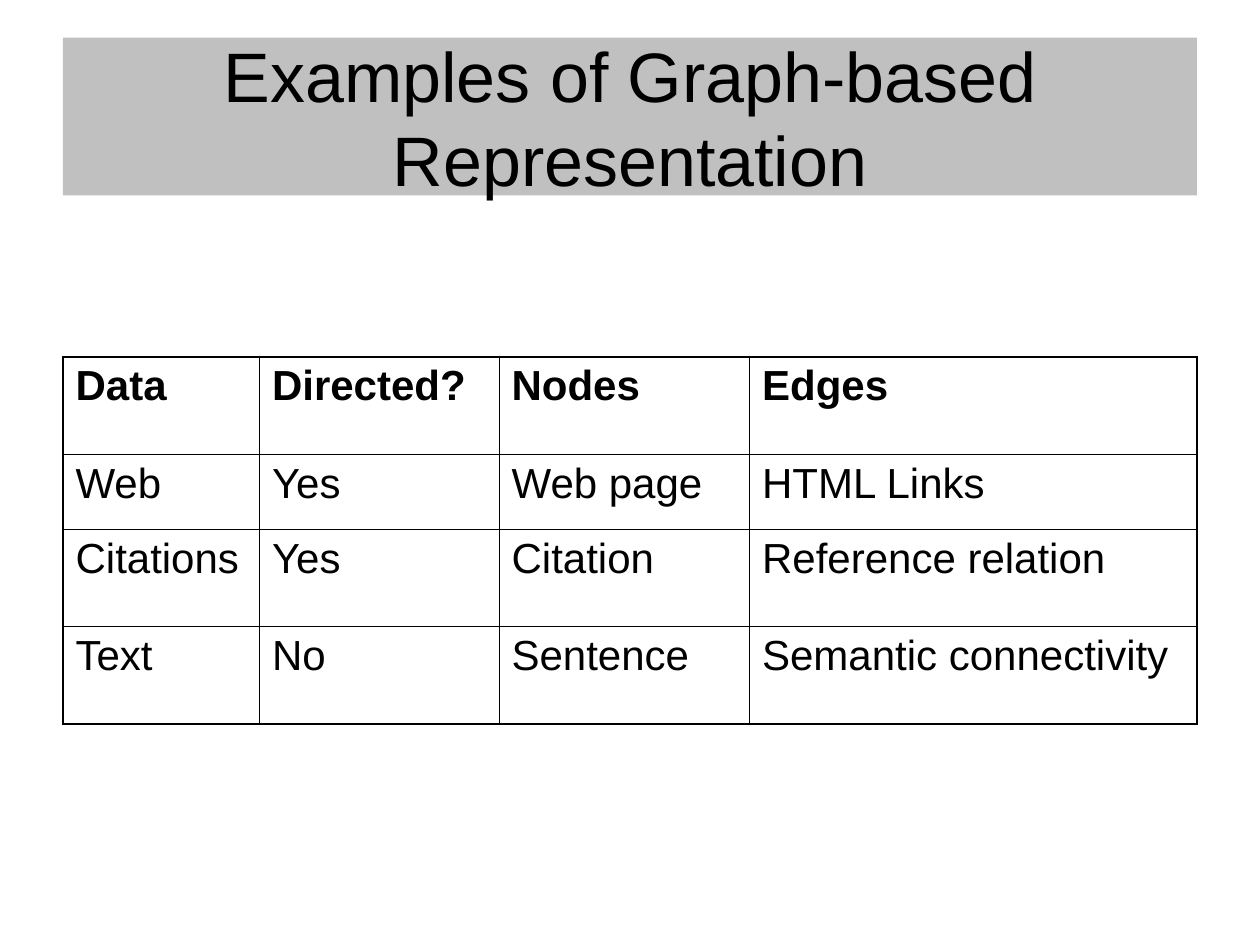
"""Build a slide that tabulates examples of graph-based representation."""
from dataclasses import dataclass

from lxml.etree import SubElement
from pptx import Presentation
from pptx.dml.color import RGBColor
from pptx.enum.shapes import MSO_SHAPE
from pptx.enum.text import MSO_ANCHOR, PP_ALIGN
from pptx.oxml.ns import qn
from pptx.util import Cm, Pt


@dataclass(frozen=True)
class Theme:
    font: str = "Arial"
    ink: str = "000000"
    banner: str = "C0C0C0"
    title_size: float = 40
    table_size: float = 24
    inner_line: float = 0.45
    outer_line: float = 1.08


theme = Theme()


def style_text(para, size, bold=False):
    for span in para.runs:
        span.font.name = theme.font
        span.font.size = Pt(size)
        span.font.bold = bold
        span.font.color.rgb = RGBColor.from_string(theme.ink)


def add_border(cell, side, is_outer):
    width = Pt(theme.outer_line if is_outer else theme.inner_line)
    line = SubElement(cell._tc.get_or_add_tcPr(), qn(f"a:ln{side}"), w=str(width))
    fill = SubElement(line, qn("a:solidFill"))
    SubElement(fill, qn("a:srgbClr"), val=theme.ink)


deck = Presentation()
deck.slide_width, deck.slide_height = Cm(25.4), Cm(19.05)
page = deck.slides.add_slide(deck.slide_layouts[6])

title = page.shapes.add_shape(MSO_SHAPE.RECTANGLE, Cm(1.27), Cm(0.76), Cm(22.86), Cm(3.18))
title.shadow.inherit = False
title.fill.solid()
title.fill.fore_color.rgb = RGBColor.from_string(theme.banner)
title.line.fill.background()
title.text_frame.text = "Examples of Graph-based Representation"
title.text_frame.word_wrap = True
title.text_frame.vertical_anchor = MSO_ANCHOR.MIDDLE
title_para = title.text_frame.paragraphs[0]
title_para.alignment = PP_ALIGN.CENTER
style_text(title_para, theme.title_size)

rows = [
    ["Data", "Directed?", "Nodes", "Edges"],
    ["Web", "Yes", "Web page", "HTML Links"],
    ["Citations", "Yes", "Citation", "Reference relation"],
    ["Text", "No", "Sentence", "Semantic connectivity"],
]
column_widths = [3.96, 4.83, 5.05, 9.02]
row_heights = [1.96, 1.52, 1.96, 1.96]
last_row, last_column = len(rows) - 1, len(column_widths) - 1

table = page.shapes.add_table(
    len(rows), len(column_widths), Cm(1.27), Cm(7.19),
    Cm(sum(column_widths)), Cm(sum(row_heights)),
).table
table.horz_banding = False
for column, width in zip(table.columns, column_widths):
    column.width = Cm(width)
for row, height in zip(table.rows, row_heights):
    row.height = Cm(height)

for row_index, row in enumerate(rows):
    for column_index, wording in enumerate(row):
        cell = table.cell(row_index, column_index)
        cell.text_frame.text = wording
        para = cell.text_frame.paragraphs[0]
        para.space_before = Pt(6)
        style_text(para, theme.table_size, bold=row_index == 0)
        add_border(cell, "L", column_index == 0)
        add_border(cell, "R", column_index == last_column)
        add_border(cell, "T", row_index == 0)
        add_border(cell, "B", row_index == last_row)
        cell.fill.background()

deck.save("out.pptx")
